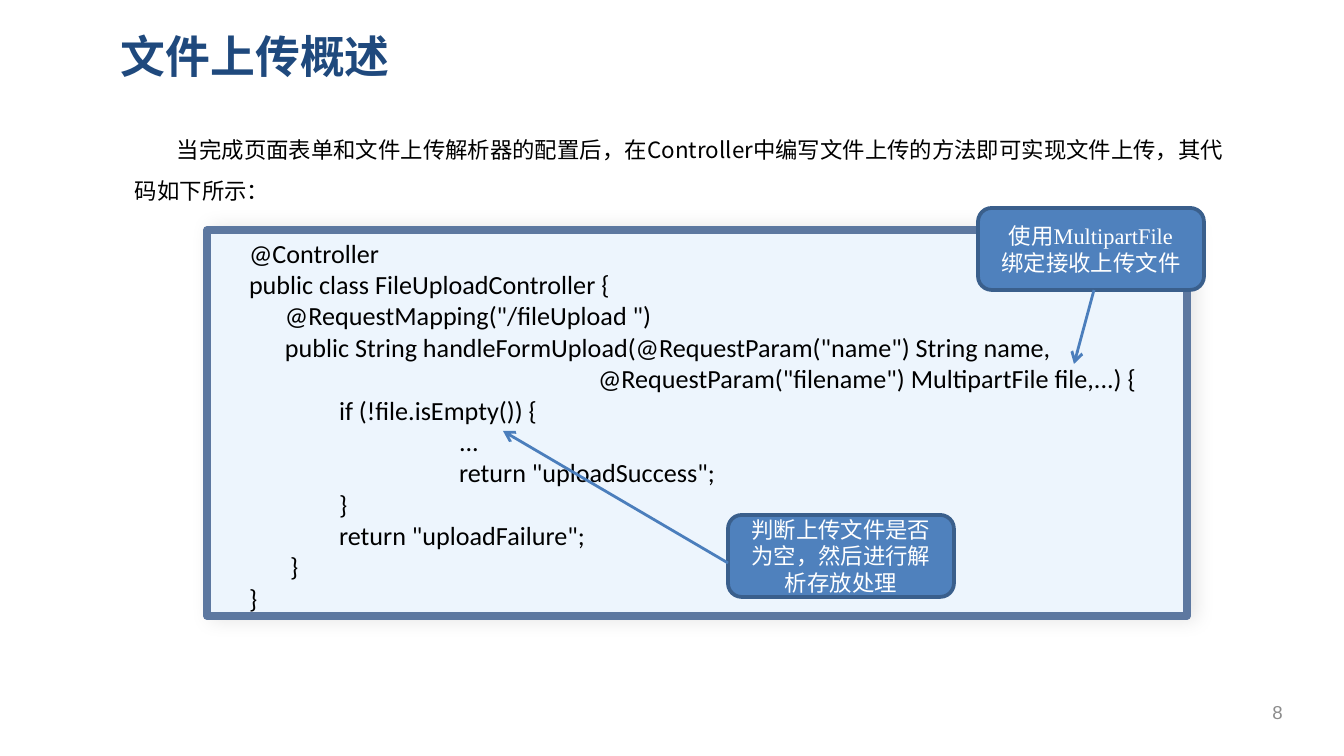
"""Build the slide that explains a file upload controller."""
from lxml import etree
from pptx import Presentation
from pptx.dml.color import RGBColor
from pptx.enum.shapes import MSO_CONNECTOR, MSO_SHAPE
from pptx.enum.text import MSO_ANCHOR, PP_ALIGN
from pptx.oxml.ns import qn
from pptx.util import Pt

PX = 914400 / 134.4
RECTANGLE, ROUNDED = MSO_SHAPE.RECTANGLE, MSO_SHAPE.ROUNDED_RECTANGLE
STRAIGHT = MSO_CONNECTOR.STRAIGHT
TOP, MIDDLE = MSO_ANCHOR.TOP, MSO_ANCHOR.MIDDLE
LEFT, CENTER = PP_ALIGN.LEFT, PP_ALIGN.CENTER

NAVY = RGBColor(0x1F, 0x49, 0x7D)
GRAY = RGBColor(0x8C, 0x8C, 0x8C)
BLACK = RGBColor(0, 0, 0)
WHITE = RGBColor(0xFF, 0xFF, 0xFF)
PALE_BLUE = RGBColor(0xED, 0xF5, 0xFD)
FRAME_BLUE = RGBColor(0x5D, 0x78, 0xA0)
CALLOUT_BLUE = RGBColor(0x4F, 0x81, 0xBD)
CALLOUT_EDGE = RGBColor(0x3A, 0x5F, 0x8C)
ARROW_BLUE = RGBColor(0x4B, 0x7E, 0xBC)
CJK_FONT = "Noto Sans CJK SC"


def emu(*lengths):
    return [round(length * PX) for length in lengths]


def write(box, lines, font, size, color, align=LEFT, anchor=TOP, inset=(13, 7), bold=False, spacing=None):
    frame = box.text_frame
    across, down = emu(*inset)
    frame_format = {"word_wrap": True, "vertical_anchor": anchor, "margin_left": across,
                    "margin_right": across, "margin_top": down, "margin_bottom": down}
    for name, value in frame_format.items():
        setattr(frame, name, value)
    for index, (margin, first_line, text) in enumerate(lines):
        para = frame.add_paragraph() if index else frame.paragraphs[0]
        para.alignment, para.line_spacing = align, spacing
        properties = para._p.get_or_add_pPr()
        for name, length in {"marL": margin, "indent": first_line}.items():
            properties.set(name, str(emu(length)[0]))
        span = para.add_run()
        span.text = text
        for name, value in {"name": font, "size": Pt(size), "bold": bold}.items():
            setattr(span.font, name, value)
        span.font.color.rgb = color
        etree.SubElement(span._r.get_or_add_rPr(), qn("a:ea"), typeface=CJK_FONT)


deck = Presentation()
deck.slide_width, deck.slide_height = emu(1344, 756)
page = deck.slides.add_slide(deck.slide_layouts[6])

BODY = "当完成页面表单和文件上传解析器的配置后，在Controller中编写文件上传的方法即可实现文件上传，其代码如下所示："
texts = [
    ((112, 24, 1175, 67), [(0, 0, "文件上传概述")],
     {"font": CJK_FONT, "size": 24, "color": NAVY, "bold": True, "inset": (9, 5)}),
    ((1245, 692, 65, 40), [(0, 0, "8")],
     {"font": "Arial", "size": 10, "color": GRAY, "align": CENTER, "anchor": MIDDLE, "inset": (12, 5)}),
    ((122, 116, 1122, 90), [(0, 42, BODY)],
     {"font": CJK_FONT, "size": 12, "color": BLACK, "spacing": 1.5}),
]
for place, lines, text_format in texts:
    write(page.shapes.add_textbox(*emu(*place)), lines, **text_format)

code = [
    (29, "@Controller"),
    (29, "public class FileUploadController {"),
    (65, "@RequestMapping(\"/fileUpload \")"),
    (65, "public String handleFormUpload(@RequestParam(\"name\") String name,"),
    (378, "@RequestParam(\"filename\") MultipartFile file,...) {"),
    (119, "if (!file.isEmpty()) {"),
    (239, "..."),
    (239, "return \"uploadSuccess\";"),
    (119, "}"),
    (119, "return \"uploadFailure\";"),
    (70, "}"),
    (29, "}"),
]
code_lines = [(margin, 0, text) for margin, text in code]
callout = {"size": 12, "color": WHITE, "align": CENTER, "anchor": MIDDLE}
panels = [
    (RECTANGLE, (207, 230, 980, 386), PALE_BLUE, FRAME_BLUE, 4, code_lines,
     {"font": "Calibri", "size": 14, "color": BLACK}),
    (ROUNDED, (978, 208, 226, 82), CALLOUT_BLUE, CALLOUT_EDGE, 2,
     [(0, 0, "使用MultipartFile 绑定接收上传文件")], {"font": "Times New Roman", **callout}),
    (ROUNDED, (728, 515, 226, 82), CALLOUT_BLUE, CALLOUT_EDGE, 2,
     [(0, 0, "判断上传文件是否为空，然后进行解析存放处理")], {"font": "Arial", **callout}),
]
for kind, place, fill, edge, width, lines, text_format in panels:
    panel = page.shapes.add_shape(kind, *emu(*place))
    panel.shadow.inherit = False
    panel.fill.solid()
    panel.fill.fore_color.rgb = fill
    panel.line.color.rgb = edge
    panel.line.width = Pt(width)
    write(panel, lines, **text_format)
    if kind == RECTANGLE:
        effects = panel._element.spPr.find(qn("a:effectLst"))
        shadow = etree.SubElement(effects, qn("a:outerShdw"), blurRad=str(Pt(10)), dist=str(Pt(3)))
        shade = etree.SubElement(shadow, qn("a:srgbClr"), val=str(BLACK))
        etree.SubElement(shade, qn("a:alpha"), val="10000")

for ends in [(1094, 290, 1074, 364), (728, 563, 503, 431)]:
    arrow = page.shapes.add_connector(STRAIGHT, *emu(*ends))
    arrow.line.color.rgb = ARROW_BLUE
    arrow.line.width = Pt(1.5)
    etree.SubElement(arrow.line._get_or_add_ln(), qn("a:tailEnd"), type="arrow")
    etree.SubElement(arrow._element.spPr, qn("a:effectLst"))

deck.save("out.pptx")
